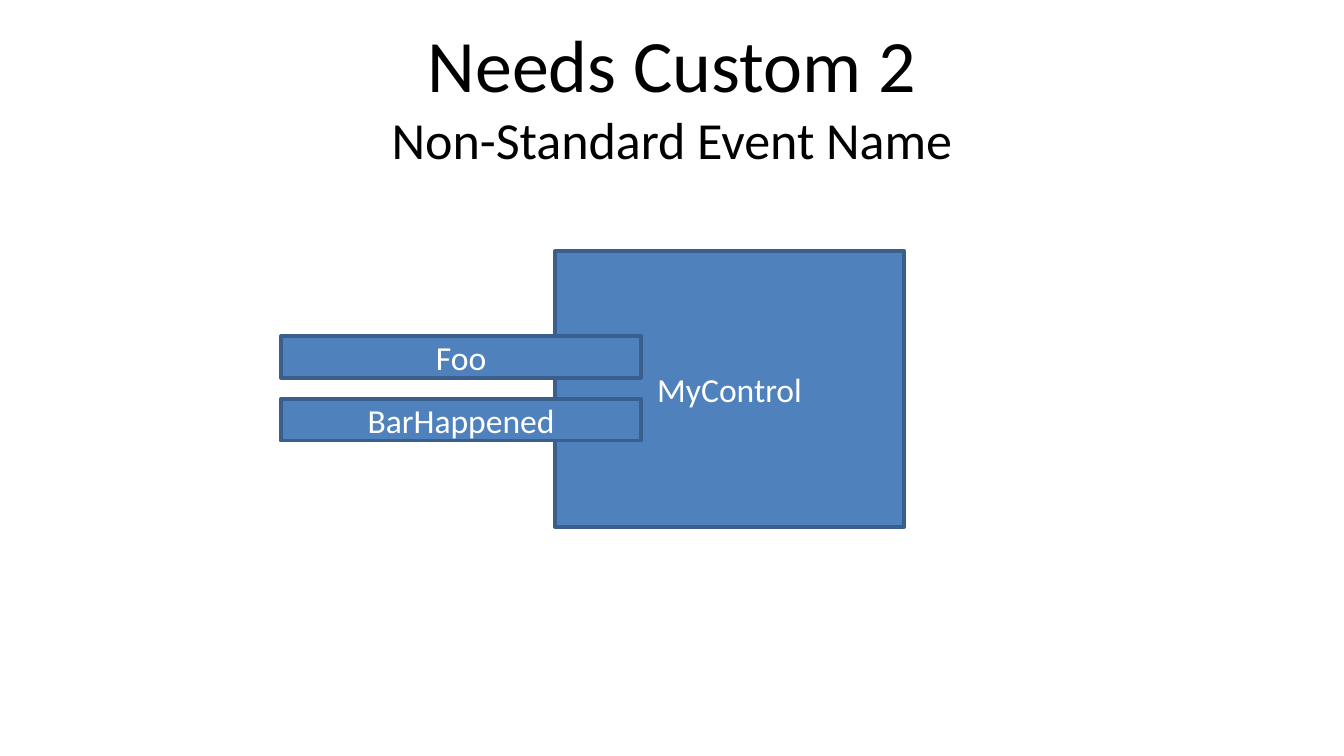
from dataclasses import dataclass

from pptx import Presentation
from pptx.dml.color import RGBColor
from pptx.enum.shapes import MSO_SHAPE
from pptx.enum.text import MSO_ANCHOR, PP_ALIGN
from pptx.slide import Slide
from pptx.util import Cm, Pt


@dataclass(frozen=True)
class Theme:
    font: str = "Calibri"
    ink: RGBColor = RGBColor(0x00, 0x00, 0x00)
    light: RGBColor = RGBColor(0xFF, 0xFF, 0xFF)
    fill: RGBColor = RGBColor(0x4F, 0x81, 0xBD)
    edge: RGBColor = RGBColor(0x3A, 0x5F, 0x8C)
    line: Pt = Pt(2)
    head: Pt = Pt(39.6)
    sub: Pt = Pt(27.9)
    body: Pt = Pt(18)


@dataclass(frozen=True)
class Box:
    text: str
    left: float
    top: float
    width: float
    height: float


THEME = Theme()

# Control block, then its members stacked at an equal step
MEMBERS = ("Foo", "BarHappened")
FIRST, STEP = 6.35, 1.19
BOXES = [Box("MyControl", 10.49, 4.75, 6.6, 5.21)] + [
    Box(name, 5.31, FIRST + i * STEP, 6.81, 0.79)
    for i, name in enumerate(MEMBERS)
]


def add_title(slide: Slide, head: str, sub: str) -> None:
    frame = slide.shapes.add_textbox(
        Cm(1.27), Cm(0.58), Cm(22.86), Cm(2.39)).text_frame
    frame.word_wrap = True
    frame.vertical_anchor = MSO_ANCHOR.MIDDLE
    para = frame.paragraphs[0]
    para.alignment = PP_ALIGN.CENTER
    para.font.name = THEME.font
    para.font.color.rgb = THEME.ink
    first = para.add_run()
    first.text, first.font.size = head, THEME.head
    para.add_line_break()
    second = para.add_run()
    second.text, second.font.size = sub, THEME.sub


def add_box(slide: Slide, box: Box) -> None:
    shape = slide.shapes.add_shape(
        MSO_SHAPE.RECTANGLE,
        Cm(box.left), Cm(box.top), Cm(box.width), Cm(box.height))
    shape.shadow.inherit = False
    shape.fill.solid()
    shape.fill.fore_color.rgb = THEME.fill
    shape.line.color.rgb = THEME.edge
    shape.line.width = THEME.line
    frame = shape.text_frame
    frame.text = box.text
    frame.vertical_anchor = MSO_ANCHOR.MIDDLE
    para = frame.paragraphs[0]
    para.alignment = PP_ALIGN.CENTER
    para.font.name = THEME.font
    para.font.size = THEME.body
    para.font.color.rgb = THEME.light


def main() -> None:
    deck = Presentation()
    deck.slide_width, deck.slide_height = Cm(25.4), Cm(14.29)
    slide = deck.slides.add_slide(deck.slide_layouts[6])
    add_title(slide, "Needs Custom 2", "Non-Standard Event Name")
    for box in BOXES:
        add_box(slide, box)
    deck.save("out.pptx")


if __name__ == "__main__":
    main()
